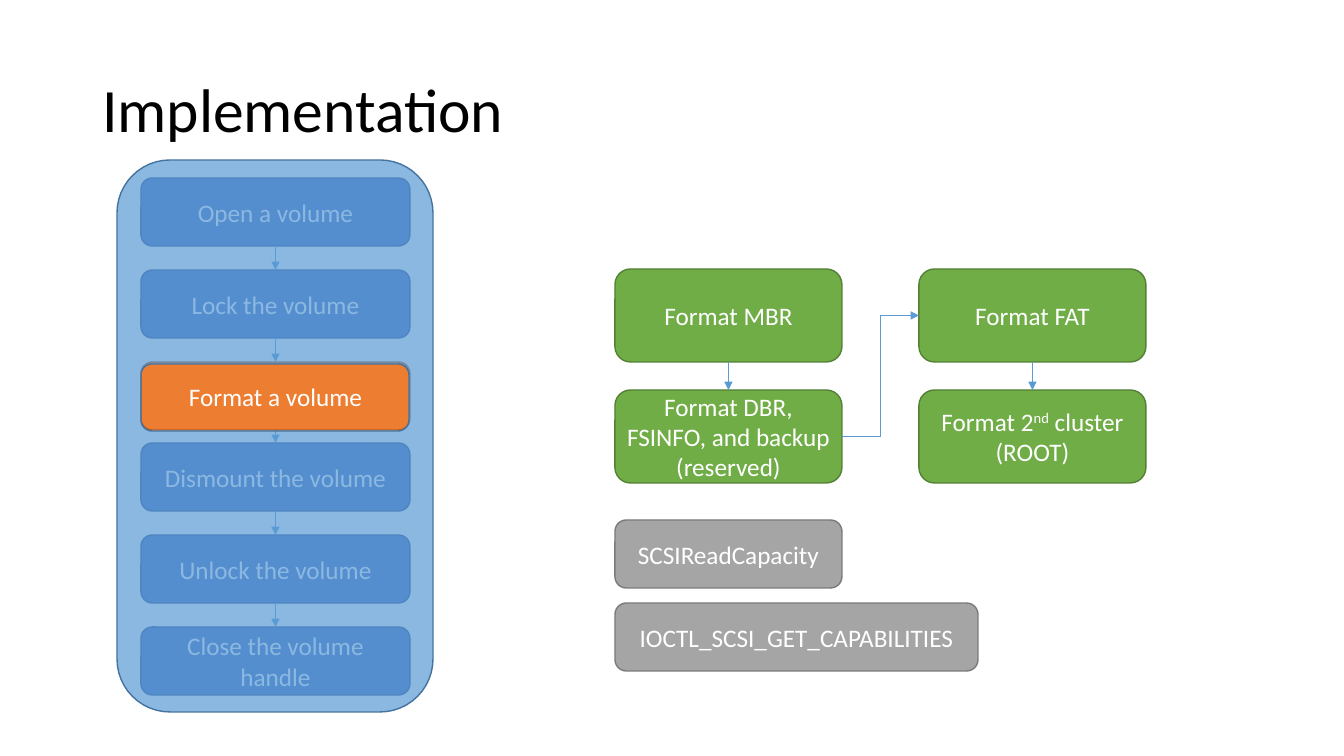
from itertools import pairwise
from math import cos, pi, sin

from lxml.etree import SubElement
from pptx import Presentation
from pptx.dml.color import RGBColor
from pptx.enum.shapes import MSO_CONNECTOR, MSO_SHAPE
from pptx.enum.text import MSO_ANCHOR, PP_ALIGN
from pptx.oxml.ns import qn
from pptx.util import Emu, Pt

COLORS = {
    "text": "000000", "light": "FFFFFF", "arrow": "5B9BD5",
    "veil": "5B9BD5", "veil_edge": "43739E",
    "stage": "4472C4", "stage_edge": "325491",
    "current": "ED7D31", "current_edge": "AF5C24",
    "format": "70AD47", "format_edge": "538035",
    "call": "A5A5A5", "call_edge": "7A7A7A",
}
TOP, LEFT, BOTTOM, RIGHT = range(4)


def px(length):
    return Emu(round(length * 914400 / 100.8))


def color(name):
    return RGBColor.from_string(COLORS[name])


def rounded_outline(left, top, width, height, radius):
    right, bottom = left + width - radius, top + height - radius
    left, top = left + radius, top + radius
    centers = [(right, bottom), (left, bottom), (left, top), (right, top)]
    steps = 12
    return [
        (px(x + radius * cos(angle)), px(y + radius * sin(angle)))
        for quarter, (x, y) in enumerate(centers)
        for angle in [(quarter + step / steps) * pi / 2 for step in range(steps + 1)]
    ]


class Deck:
    font = "Calibri"
    body_size = 18
    title_size = 44

    def __init__(self, width, height):
        self.presentation = Presentation()
        self.presentation.slide_width = px(width)
        self.presentation.slide_height = px(height)
        self.slide = self.presentation.slides.add_slide(self.presentation.slide_layouts[5])

    def add_runs(self, paragraph, runs, size, ink):
        for text, baseline in runs:
            run = paragraph.add_run()
            run.text = text
            run.font.name = self.font
            run.font.size = Pt(size)
            run.font.color.rgb = color(ink)
            if baseline:
                run.font._element.set("baseline", str(baseline * 1000))

    def paint(self, shape, kind):
        shape.shadow.inherit = False
        shape.fill.solid()
        shape.fill.fore_color.rgb = color(kind)
        shape.line.color.rgb = color(kind + "_edge")
        shape.line.width = Pt(1)

    def title(self, text, left, top, width, height):
        heading = self.slide.shapes.title
        heading.left, heading.top = px(left), px(top)
        heading.width, heading.height = px(width), px(height)
        heading.text_frame.vertical_anchor = MSO_ANCHOR.MIDDLE
        paragraph = heading.text_frame.paragraphs[0]
        paragraph.alignment = PP_ALIGN.LEFT
        paragraph.line_spacing = 0.9
        self.add_runs(paragraph, [(text, 0)], self.title_size, "text")

    def box(self, runs, kind, left, top, width, height):
        shape = self.slide.shapes.add_shape(
            MSO_SHAPE.ROUNDED_RECTANGLE, px(left), px(top), px(width), px(height))
        self.paint(shape, kind)
        frame = shape.text_frame
        frame.word_wrap = True
        frame.vertical_anchor = MSO_ANCHOR.MIDDLE
        frame.margin_left = frame.margin_right = px(10 - 0.29 * height / 6)
        frame.margin_top = frame.margin_bottom = 0
        frame.paragraphs[0].alignment = PP_ALIGN.CENTER
        self.add_runs(frame.paragraphs[0], runs, self.body_size, "light")
        return shape

    def arrow(self, start, end, start_site=BOTTOM, end_site=TOP, route=MSO_CONNECTOR.STRAIGHT):
        connector = self.slide.shapes.add_connector(route, 0, 0, 0, 0)
        connector.begin_connect(start, start_site)
        connector.end_connect(end, end_site)
        connector.line.color.rgb = color("arrow")
        connector.line.width = Pt(0.5)
        properties = connector.element.spPr
        SubElement(properties.find(qn("a:ln")), qn("a:tailEnd"), type="triangle")
        SubElement(properties, qn("a:effectLst"))

    def veil(self, outer, window, opacity):
        builder = self.slide.shapes.build_freeform(*outer[0], scale=1.0)
        builder.add_line_segments(outer[1:], close=True)
        builder.move_to(*window[-1])
        builder.add_line_segments(window[-2::-1], close=True)
        shape = builder.convert_to_shape()
        self.paint(shape, "veil")
        tint = shape.element.spPr.find(qn("a:solidFill")).find(qn("a:srgbClr"))
        SubElement(tint, qn("a:alpha"), val=str(opacity * 1000))


deck = Deck(1344, 756)
deck.title("Implementation", 92, 40, 1159, 146)

STAGES = ["Open a volume", "Lock the volume", "Format a volume",
          "Dismount the volume", "Unlock the volume", "Close the volume handle"]
CURRENT = STAGES.index("Format a volume")
stages = [
    deck.box([(name, 0)], "current" if order == CURRENT else "stage",
             141, 178 + 92 * order - 11 * (order > CURRENT), 269, 68)
    for order, name in enumerate(STAGES)
]
for before, after in pairwise(stages):
    deck.arrow(before, after)

FORMAT_STEPS = [
    [[("Format MBR", 0)], [("Format DBR, FSINFO, and backup (reserved)", 0)]],
    [[("Format FAT", 0)], [("Format 2", 0), ("nd", 30), (" cluster (ROOT)", 0)]],
]
format_columns = [
    [deck.box(runs, "format", 615 + 304 * column, 269 + 121 * row, 227, 93)
     for row, runs in enumerate(steps)]
    for column, steps in enumerate(FORMAT_STEPS)
]
for first, second in format_columns:
    deck.arrow(first, second)

deck.veil(rounded_outline(117, 160, 316, 552, 53),
          rounded_outline(141, 364, 268, 67, 11), 70)

for order, (call, width) in enumerate([("SCSIReadCapacity", 227),
                                       ("IOCTL_SCSI_GET_CAPABILITIES", 363)]):
    deck.box([(call, 0)], "call", 615, 520 + 83 * order, width, 68)

deck.arrow(format_columns[0][1], format_columns[1][0], RIGHT, LEFT, MSO_CONNECTOR.ELBOW)

deck.presentation.save("out.pptx")
